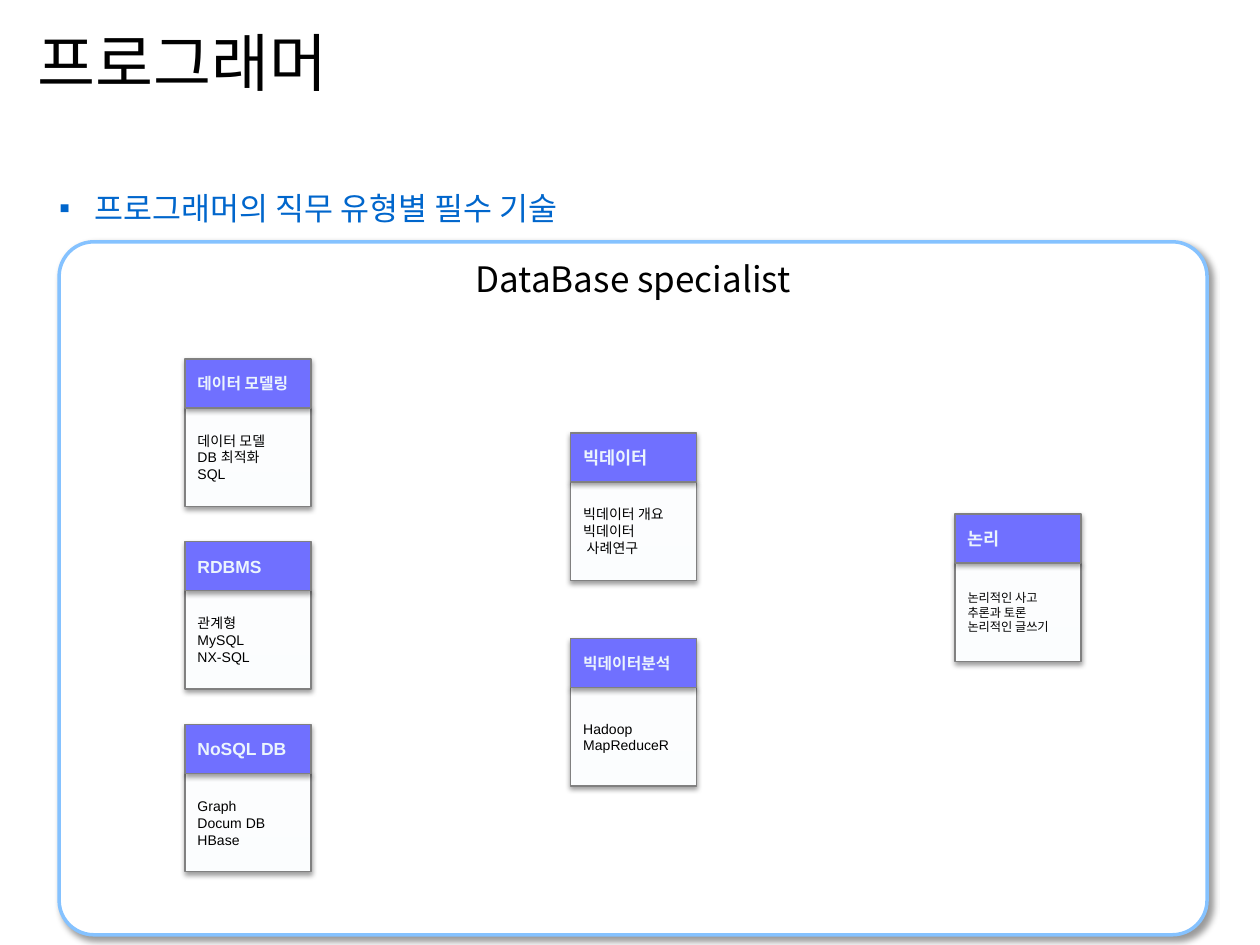
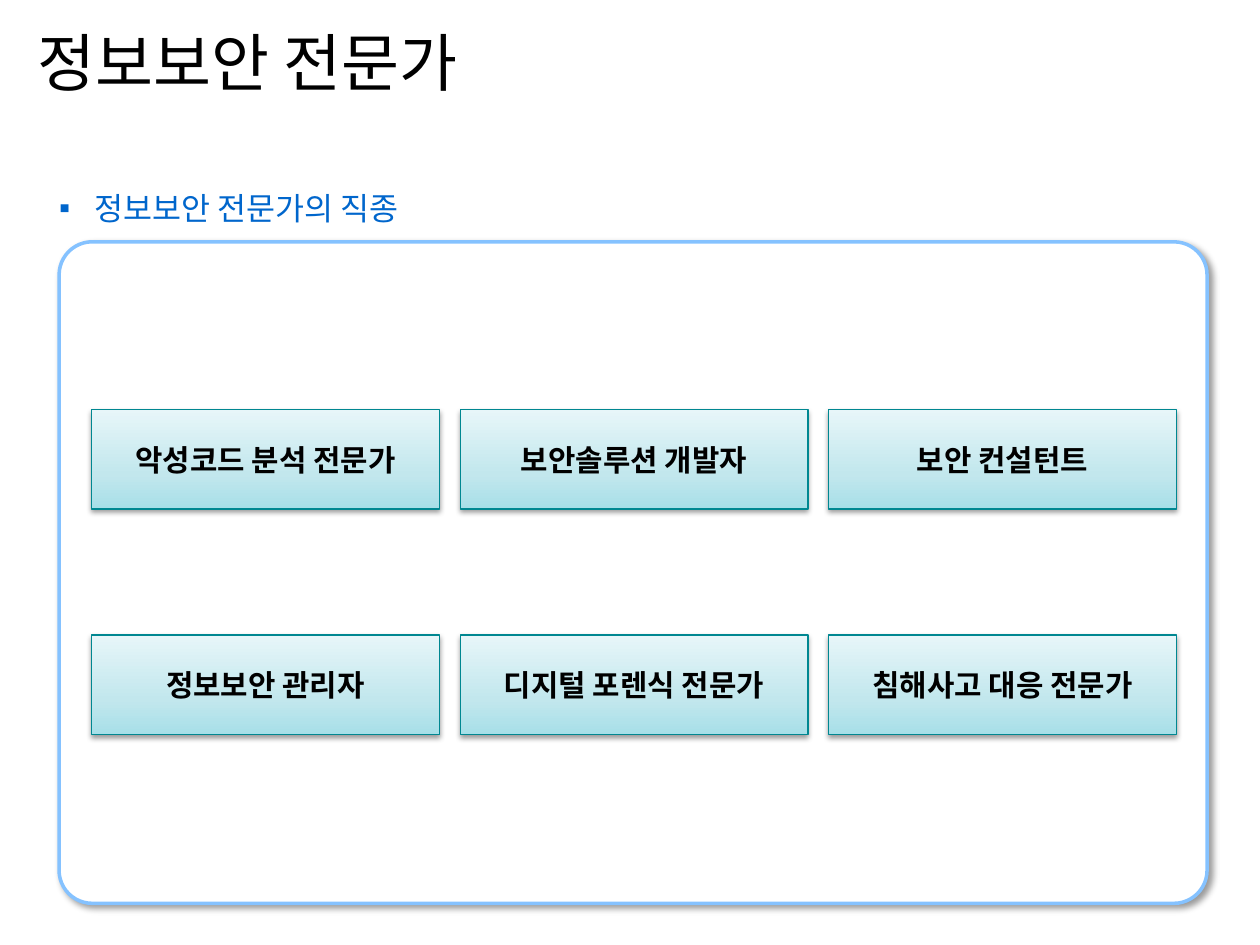
from copy import deepcopy
from dataclasses import dataclass

from lxml.etree import SubElement
from pptx import Presentation
from pptx.dml.color import RGBColor
from pptx.enum.shapes import MSO_SHAPE
from pptx.enum.text import MSO_ANCHOR, MSO_AUTO_SIZE, PP_ALIGN
from pptx.oxml.ns import qn
from pptx.util import Pt


@dataclass(frozen=True)
class Theme:
    latin: str = "Arial"
    hangul: str = "Noto Sans CJK KR"
    ink: str = "000000"
    accent: str = "0066CC"
    paper: str = "FFFFFF"
    frame: str = "85C2FF"
    head: str = "7070FF"
    pale: str = "EBF4FD"
    edge: str = "808080"
    teal: str = "008791"
    body: tuple = ((0, "FBFDFE"), (0.35, "FCFDFE"), (1, "FEFEFF"))
    aqua: tuple = ((0, "A7DFE8"), (0.35, "C2E7ED"), (1, "E7F6F9"))
    # opacity in percent, blur and distance in points, direction in degrees
    deep: tuple = (40, 4, 3, 45)
    soft: tuple = (38, 3.1, 1.6, 90)
    title_size: int = 36
    label_size: int = 20
    lead_size: int = 18
    job_size: int = 17


THEME = Theme()
CARD_W, HEAD_H, BODY_H = 72, 28, 56.2

# left, first top, pitch, cards as (head, head size, lines, line size)
COLUMNS = [
    (105.8, 205.2, 104.4, [
        ("데이터 모델링", 9, ["데이터 모델", "DB 최적화", "SQL"], 8),
        ("RDBMS", 10, ["관계형", "MySQL", "NX-SQL"], 8),
        ("NoSQL DB", 10, ["Graph", "Docum DB", "HBase"], 8),
    ]),
    (326.2, 247.4, 117.5, [
        ("빅데이터", 10, ["빅데이터 개요", "빅데이터", "사례연구"], 8),
        ("빅데이터분석", 9, ["Hadoop", "MapReduceR"], 8),
    ]),
    (545.8, 293.8, 0, [
        ("논리", 10, ["논리적인 사고", "추론과 토론", "논리적인 글쓰기"], 7),
    ]),
]
INDENTS = {"사례연구": 2}

JOBS = [
    ["악성코드 분석 전문가", "보안솔루션 개발자", "보안 컨설턴트"],
    ["정보보안 관리자", "디지털 포렌식 전문가", "침해사고 대응 전문가"],
]


def rgb(code):
    return RGBColor.from_string(code)


def write(frame, lines, size, color=THEME.ink, face=THEME.latin,
          bold=False, align=PP_ALIGN.LEFT):
    """Fill a text frame with one paragraph per line, centred vertically."""
    setup = {"word_wrap": True, "auto_size": MSO_AUTO_SIZE.NONE,
             "vertical_anchor": MSO_ANCHOR.MIDDLE}
    for name, value in setup.items():
        setattr(frame, name, value)
    for num, line in enumerate(lines):
        para = frame.add_paragraph() if num else frame.paragraphs[0]
        para.alignment = align
        if line in INDENTS:
            para._p.get_or_add_pPr().set("marL", str(Pt(INDENTS[line])))
        run = para.add_run()
        run.text = line
        style = {"size": Pt(size), "bold": bold, "name": face}
        for name, value in style.items():
            setattr(run.font, name, value)
        run.font.color.rgb = rgb(color)
        SubElement(run._r.get_or_add_rPr(), qn("a:ea"), typeface=THEME.hangul)


def shade(shape, stops):
    """Give the shape a three-stop gradient that runs from bottom to top."""
    fill = shape.fill
    fill.gradient()
    fill.gradient_angle = 90
    marks = shape._element.spPr.find(qn("a:gradFill")).find(qn("a:gsLst"))
    marks.insert(1, deepcopy(marks[0]))
    for stop, (place, color) in zip(fill.gradient_stops, stops):
        stop.position = place
        stop.color.rgb = rgb(color)


def cast(shape, alpha, blur, dist, angle):
    """Replace the default shadow with an outer one."""
    shape.shadow.inherit = False
    effects = shape._element.spPr.find(qn("a:effectLst"))
    outer = SubElement(effects, qn("a:outerShdw"), blurRad=str(Pt(blur)),
                       dist=str(Pt(dist)), dir=str(angle * 60000),
                       algn="ctr", rotWithShape="0")
    color = SubElement(outer, qn("a:srgbClr"), val=THEME.ink)
    SubElement(color, qn("a:alpha"), val=str(alpha * 1000))


def add_box(shapes, area, fill, line, width=0.75, shadow=THEME.soft,
            kind=MSO_SHAPE.RECTANGLE):
    box = shapes.add_shape(kind, *map(Pt, area))
    if isinstance(fill, str):
        box.fill.solid()
        box.fill.fore_color.rgb = rgb(fill)
    else:
        shade(box, fill)
    box.line.color.rgb = rgb(line)
    box.line.width = Pt(width)
    cast(box, *shadow)
    return box


def add_lead(slide, text):
    frame = slide.shapes.add_textbox(*map(Pt, (33.8, 108, 480, 21.6))).text_frame
    for side in ("left", "top", "right", "bottom"):
        setattr(frame, f"margin_{side}", 0)
    props = frame.paragraphs[0]._p.get_or_add_pPr()
    props.set("marL", str(Pt(20)))
    props.set("indent", str(Pt(-20)))
    tint = SubElement(props, qn("a:buClr"))
    SubElement(tint, qn("a:srgbClr"), val=THEME.accent)
    SubElement(props, qn("a:buFont"), typeface=THEME.latin)
    SubElement(props, qn("a:buChar"), char="▪")
    write(frame, [text], THEME.lead_size, THEME.accent, THEME.hangul)


def add_page(deck, title, lead, height):
    """Start a slide with its title, lead line and rounded frame."""
    slide = deck.slides.add_slide(deck.slide_layouts[5])
    head = slide.shapes.title
    place = {"left": 14.4, "top": 7.2, "width": 648, "height": 56.2}
    for name, value in place.items():
        setattr(head, name, Pt(value))
    write(head.text_frame, [title], THEME.title_size)
    add_lead(slide, lead)
    panel = add_box(slide.shapes, (33.8, 138.2, 656, height), THEME.paper,
                    THEME.frame, 2, THEME.deep, MSO_SHAPE.ROUNDED_RECTANGLE)
    panel.adjustments[0] = 0.05
    return slide


def add_card(slide, left, top, head, head_size, lines, size):
    shapes = slide.shapes.add_group_shape().shapes
    body = add_box(shapes, (left, top + HEAD_H, CARD_W, BODY_H),
                   THEME.body, THEME.edge)
    write(body.text_frame, lines, size)
    cap = add_box(shapes, (left, top, CARD_W, HEAD_H), THEME.head, THEME.edge)
    write(cap.text_frame, [head], head_size, THEME.pale, bold=True)


def add_skills(deck):
    slide = add_page(deck, "프로그래머", "프로그래머의 직무 유형별 필수 기술", 396)
    label = slide.shapes.add_textbox(*map(Pt, (245.5, 143.3, 232.6, 31.7)))
    write(label.text_frame, ["DataBase specialist"], THEME.label_size,
          face=THEME.hangul, align=PP_ALIGN.CENTER)
    for left, top, pitch, cards in COLUMNS:
        for num, card in enumerate(cards):
            add_card(slide, left, top + num * pitch, *card)


def add_jobs(deck):
    slide = add_page(deck, "정보보안 전문가", "정보보안 전문가의 직종", 378)
    for row, names in enumerate(JOBS):
        for col, name in enumerate(names):
            area = (52.4 + col * 210.6, 234 + row * 128.8, 198.7, 56.9)
            box = add_box(slide.shapes, area, THEME.aqua, THEME.teal)
            write(box.text_frame, [name], THEME.job_size, bold=True,
                  align=PP_ALIGN.CENTER)


def main():
    deck = Presentation()
    deck.slide_width, deck.slide_height = Pt(720), Pt(540)
    add_skills(deck)
    add_jobs(deck)
    deck.save("out.pptx")


if __name__ == "__main__":
    main()
